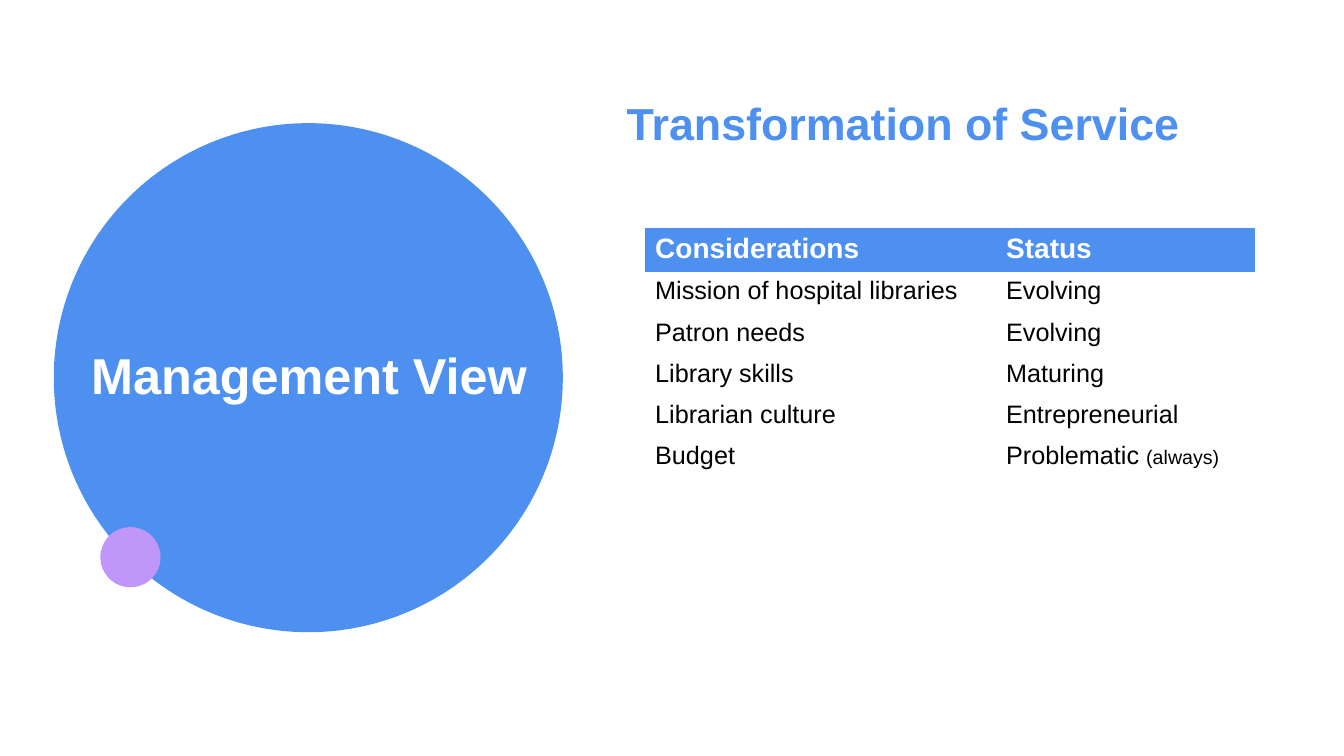
from pptx import Presentation
from pptx.dml.color import RGBColor
from pptx.enum import shapes, text as text_enum
from pptx.oxml import ns
from pptx.util import Pt

COLORS = {"blue": "4D90EF", "purple": "C097F8", "white": "FFFFFF", "black": "000000"}
PLAIN_TABLE_STYLE = "{2D5ABB26-0587-4C30-8999-92F81FD0307C}"
ROW_HEIGHT = 29.5
COLUMN_WIDTHS = (250.7, 185.3)
ROWS = [
    ("Considerations", "Status"),
    ("Mission of hospital libraries", "Evolving"),
    ("Patron needs", "Evolving"),
    ("Library skills", "Maturing"),
    ("Librarian culture", "Entrepreneurial"),
    ("Budget", "Problematic "),
]


def color(name):
    return RGBColor.from_string(COLORS[name])


def add_run(paragraph, text, size=18, fill="black", bold=False):
    run = paragraph.add_run()
    run.text = text
    run.font.name = "Arial"
    run.font.size = Pt(size)
    run.font.bold = bold
    run.font.color.rgb = color(fill)


def add_circle(slide, left, top, diameter, fill):
    shape = slide.shapes.add_shape(
        shapes.MSO_SHAPE.OVAL, Pt(left), Pt(top), Pt(diameter), Pt(diameter))
    shape.shadow.inherit = False
    shape.fill.solid()
    shape.fill.fore_color.rgb = color(fill)
    shape.line.fill.background()


def add_text(slide, text, left, top, width, height, centered=False, **font):
    frame = slide.shapes.add_textbox(Pt(left), Pt(top), Pt(width), Pt(height)).text_frame
    frame.word_wrap = True
    paragraph = frame.paragraphs[0]
    if centered:
        frame.vertical_anchor = text_enum.MSO_ANCHOR.MIDDLE
        paragraph.alignment = text_enum.PP_ALIGN.CENTER
        paragraph.line_spacing = 0.9
    add_run(paragraph, text, **font)


def add_status_table(slide, left, top):
    frame = slide.shapes.add_table(
        len(ROWS), len(COLUMN_WIDTHS), Pt(left), Pt(top),
        Pt(sum(COLUMN_WIDTHS)), Pt(ROW_HEIGHT * len(ROWS)))
    for style in frame.element.iter(ns.qn("a:tableStyleId")):
        style.text = PLAIN_TABLE_STYLE
    table = frame.table
    table.horz_banding = False
    for column, width in zip(table.columns, COLUMN_WIDTHS):
        column.width = Pt(width)
    for row_index, (row, values) in enumerate(zip(table.rows, ROWS)):
        row.height = Pt(ROW_HEIGHT)
        for cell, value in zip(row.cells, values):
            paragraph = cell.text_frame.paragraphs[0]
            if row_index == 0:
                cell.fill.solid()
                cell.fill.fore_color.rgb = color("blue")
                add_run(paragraph, value, size=20, fill="white", bold=True)
            else:
                cell.fill.background()
                add_run(paragraph, value)
    add_run(table.cell(len(ROWS) - 1, 1).text_frame.paragraphs[0], "(always)", size=14)


def main():
    presentation = Presentation()
    presentation.slide_width = Pt(960)
    presentation.slide_height = Pt(540)
    slide = presentation.slides.add_slide(presentation.slide_layouts[6])
    add_circle(slide, 38.4, 88, 363.6, "blue")
    add_circle(slide, 71.7, 376.5, 43, "purple")
    add_text(slide, "Management View", 48, 88, 345.6, 363.6,
             centered=True, size=36, fill="white", bold=True)
    add_status_table(slide, 460.8, 163)
    add_text(slide, "Transformation of Service", 440.6, 65, 436.3, 46,
             size=32, fill="blue", bold=True)
    presentation.save("out.pptx")


if __name__ == "__main__":
    main()
